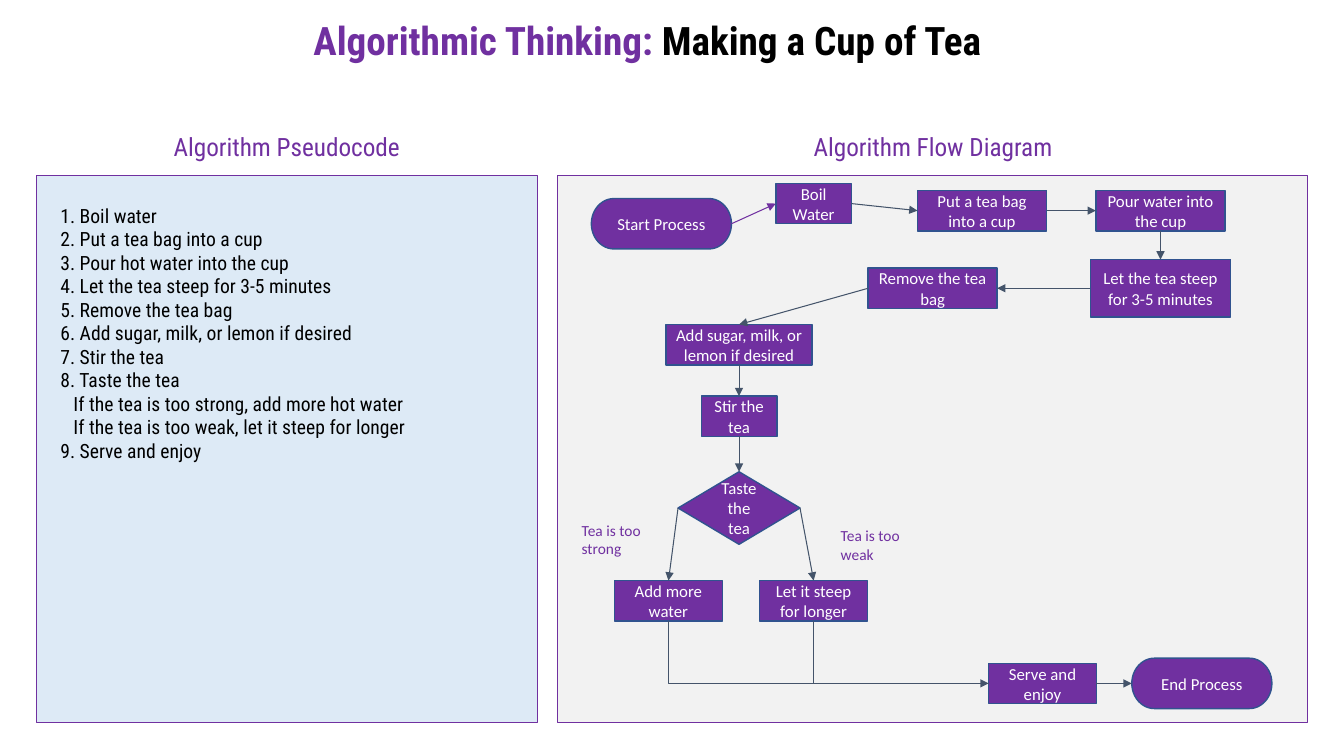
import pptx
import pptx.util
import pptx.dml.color
import pptx.enum.shapes
import pptx.enum.text
import pptx.oxml
import pptx.oxml.ns

TITLE = [("Algorithmic Thinking: ", "accent"), ("Making a Cup of Tea", "ink")]
HEADINGS = {"Algorithm Pseudocode": 2.845, "Algorithm Flow Diagram": 9.255}
PSEUDOCODE = [
    (0, "1. Boil water"),
    (0, "2. Put a tea bag into a cup"),
    (0, "3. Pour hot water into the cup"),
    (0, "4. Let the tea steep for 3-5 minutes"),
    (0, "5. Remove the tea bag"),
    (0, "6. Add sugar, milk, or lemon if desired"),
    (0, "7. Stir the tea"),
    (0, "8. Taste the tea"),
    (1, "If the tea is too strong, add more hot water"),
    (1, "If the tea is too weak, let it steep for longer"),
    (0, "9. Serve and enjoy"),
]
# step: (text, size class, column, row)
STEPS = {
    "start": ("Start Process", "terminal", "start", "start"),
    "boil": ("Boil Water", "short", "boil", "boil"),
    "bag": ("Put a tea bag into a cup", "wide", "bag", "prepare"),
    "pour": ("Pour water into the cup", "wide", "pour", "prepare"),
    "steep": ("Let the tea steep for 3-5 minutes", "tall", "pour", "steep"),
    "remove": ("Remove the tea bag", "wide", "remove", "steep"),
    "add": ("Add sugar, milk, or lemon if desired", "widest", "main", "add"),
    "stir": ("Stir the tea", "short", "main", "stir"),
    "taste": ("Taste the tea", "decision", "main", "taste"),
    "water": ("Add more water", "medium", "strong", "fix"),
    "longer": ("Let it steep for longer", "medium", "weak", "fix"),
    "serve": ("Serve and enjoy", "medium", "serve", "finish"),
    "end": ("End Process", "terminal", "end", "finish"),
}
TOP, LEFT, BOTTOM, RIGHT = range(4)
# from step, side, to step, side, colour
ARROWS = [
    ("start", RIGHT, "boil", LEFT, "accent"),
    ("boil", RIGHT, "bag", LEFT, "arrow"),
    ("bag", RIGHT, "pour", LEFT, "arrow"),
    ("pour", BOTTOM, "steep", TOP, "arrow"),
    ("steep", LEFT, "remove", RIGHT, "arrow"),
    ("remove", LEFT, "add", TOP, "arrow"),
    ("add", BOTTOM, "stir", TOP, "arrow"),
    ("stir", BOTTOM, "taste", TOP, "arrow"),
    ("taste", LEFT, "water", TOP, "arrow"),
    ("taste", RIGHT, "longer", TOP, "arrow"),
    ("serve", RIGHT, "end", LEFT, "arrow"),
]
# from step, to step, arrowhead
ELBOWS = [("water", "serve", True), ("longer", "serve", False)]
BRANCH_LABELS = [
    ("Tea is too strong", (5.67, 5.07, 0.92, 0.5)),
    ("Tea is too weak", (8.24, 5.12, 1.07, 0.57)),
]

# Centres of the flow diagram's columns and rows, in inches
COLUMNS = dict(start=6.56, boil=8.07, bag=9.74, pour=11.51, remove=9.25, main=7.33,
               strong=6.63, weak=8.07, serve=10.34, end=11.92)
ROWS = dict(start=2.22, boil=2.02, prepare=2.09, steep=2.86, add=3.42, stir=4.13,
            taste=5.04, fix=5.96, finish=6.78)
SIZES = dict(terminal=(1.39, 0.5), short=(0.75, 0.4), medium=(1.07, 0.4), wide=(1.28, 0.4),
             widest=(1.45, 0.4), tall=(1.39, 0.57), decision=(1.21, 0.72))
PANEL_TOP, PANEL_HEIGHT = 1.74, 5.43
PANELS = [("code_panel", 0.36, 4.97), ("flow_panel", 5.53, 7.44)]

THEME = {
    "colors": dict(accent="7030A0", ink="000000", code_panel="DDEAF6", flow_panel="F2F2F2",
                   outline="31538F", arrow="44546A", light="FFFFFF"),
    "sizes": dict(title=28, heading=18, code=14, step=12, branch=11),
    "display": "Roboto Condensed",
    "body": "Calibri",
}

Inches, Pt = pptx.util.Inches, pptx.util.Pt
MSO_SHAPE = pptx.enum.shapes.MSO_SHAPE
MSO_CONNECTOR = pptx.enum.shapes.MSO_CONNECTOR
PP_ALIGN = pptx.enum.text.PP_ALIGN
OUTLINES = {"terminal": MSO_SHAPE.FLOWCHART_TERMINATOR,
            "decision": MSO_SHAPE.FLOWCHART_DECISION}


def color(role):
    return pptx.dml.color.RGBColor.from_string(THEME["colors"][role])


def write(paragraph, text, size, face, role, bold=False):
    run = paragraph.add_run()
    run.text = text
    formats = {"size": Pt(THEME["sizes"][size]), "name": THEME[face], "bold": bold}
    for attribute, value in formats.items():
        setattr(run.font, attribute, value)
    run.font.color.rgb = color(role)


def add_text_frame(slide, box, inset=0.05):
    frame = slide.shapes.add_textbox(*map(Inches, box)).text_frame
    formats = {
        "word_wrap": True,
        "margin_top": Inches(inset),
        "margin_bottom": Inches(inset),
        "auto_size": pptx.enum.text.MSO_AUTO_SIZE.NONE,
    }
    for attribute, value in formats.items():
        setattr(frame, attribute, value)
    return frame


def add_box(slide, outline, box, fill, line):
    shape = slide.shapes.add_shape(outline, *map(Inches, box))
    shape.shadow.inherit = False
    shape.fill.solid()
    shape.fill.fore_color.rgb = color(fill)
    shape.line.color.rgb = color(line)
    shape.line.width = Pt(1)
    return shape


def add_step(slide, text, size, column, row):
    width, height = SIZES[size]
    box = (COLUMNS[column] - width / 2, ROWS[row] - height / 2, width, height)
    shape = add_box(slide, OUTLINES.get(size, MSO_SHAPE.FLOWCHART_PROCESS),
                    box, "accent", "outline")
    frame = shape.text_frame
    frame.word_wrap = True
    frame.vertical_anchor = pptx.enum.text.MSO_ANCHOR.MIDDLE
    frame.paragraphs[0].alignment = PP_ALIGN.CENTER
    write(frame.paragraphs[0], text, "step", "body", "light")
    return shape


def add_link(slide, kind, source, source_side, target, target_side, role, head=True):
    link = slide.shapes.add_connector(kind, 0, 0, 0, 0)
    link.begin_connect(source, source_side)
    link.end_connect(target, target_side)
    link.line.color.rgb = color(role)
    link.line.width = Pt(0.75)
    if head:
        tail = pptx.oxml.parse_xml(
            f'<a:tailEnd {pptx.oxml.ns.nsdecls("a")} type="triangle"/>')
        link.line._get_or_add_ln().append(tail)
    link._element.spPr.append(
        pptx.oxml.parse_xml(f'<a:effectLst {pptx.oxml.ns.nsdecls("a")}/>'))
    return link


def bend_down_then_right(link):
    """Turn an elbow into a single bend by rotating and flipping its frame."""
    across, down = link.end_x - link.begin_x, link.end_y - link.begin_y
    center_x, center_y = link.begin_x + across // 2, link.begin_y + down // 2
    properties = link._element.spPr
    properties.find(pptx.oxml.ns.qn("a:prstGeom")).set("prst", "bentConnector2")
    frame = properties.find(pptx.oxml.ns.qn("a:xfrm"))
    frame.set("rot", str(270 * 60000))
    frame.set("flipH", "1")
    formats = {"left": center_x - down // 2, "top": center_y - across // 2,
               "width": down, "height": across}
    for attribute, value in formats.items():
        setattr(link, attribute, value)


def main():
    deck = pptx.Presentation()
    deck.slide_width, deck.slide_height = Inches(13.33), Inches(7.5)
    slide = deck.slides.add_slide(deck.slide_layouts[6])

    title = add_text_frame(slide, (0.92, 0.11, 11, 0.57)).paragraphs[0]
    title.alignment = PP_ALIGN.CENTER
    for text, role in TITLE:
        write(title, text, "title", "display", role, bold=True)
    for text, center in HEADINGS.items():
        heading = add_text_frame(slide, (center - 2.79 / 2, 1.25, 2.79, 0.4)).paragraphs[0]
        heading.alignment = PP_ALIGN.CENTER
        write(heading, text, "heading", "display", "accent")

    for fill, left, width in PANELS:
        add_box(slide, MSO_SHAPE.RECTANGLE, (left, PANEL_TOP, width, PANEL_HEIGHT),
                fill, "accent")

    code = add_text_frame(slide, (0.5, 1.97, 4.69, 2.69))
    for number, (level, text) in enumerate(PSEUDOCODE):
        line = code.add_paragraph() if number else code.paragraphs[0]
        line._p.get_or_add_pPr().set("marL", str(Inches(0.13 * level)))
        write(line, text, "code", "display", "ink")

    steps = {key: add_step(slide, *step) for key, step in STEPS.items()}
    for source, source_side, target, target_side, role in ARROWS:
        add_link(slide, MSO_CONNECTOR.STRAIGHT, steps[source], source_side,
                 steps[target], target_side, role)
    for source, target, head in ELBOWS:
        bend_down_then_right(add_link(slide, MSO_CONNECTOR.ELBOW, steps[source], BOTTOM,
                                      steps[target], LEFT, "arrow", head))

    for text, box in BRANCH_LABELS:
        label = add_text_frame(slide, box, inset=0.1).paragraphs[0]
        write(label, text, "branch", "body", "accent")

    deck.save("out.pptx")


if __name__ == "__main__":
    main()
